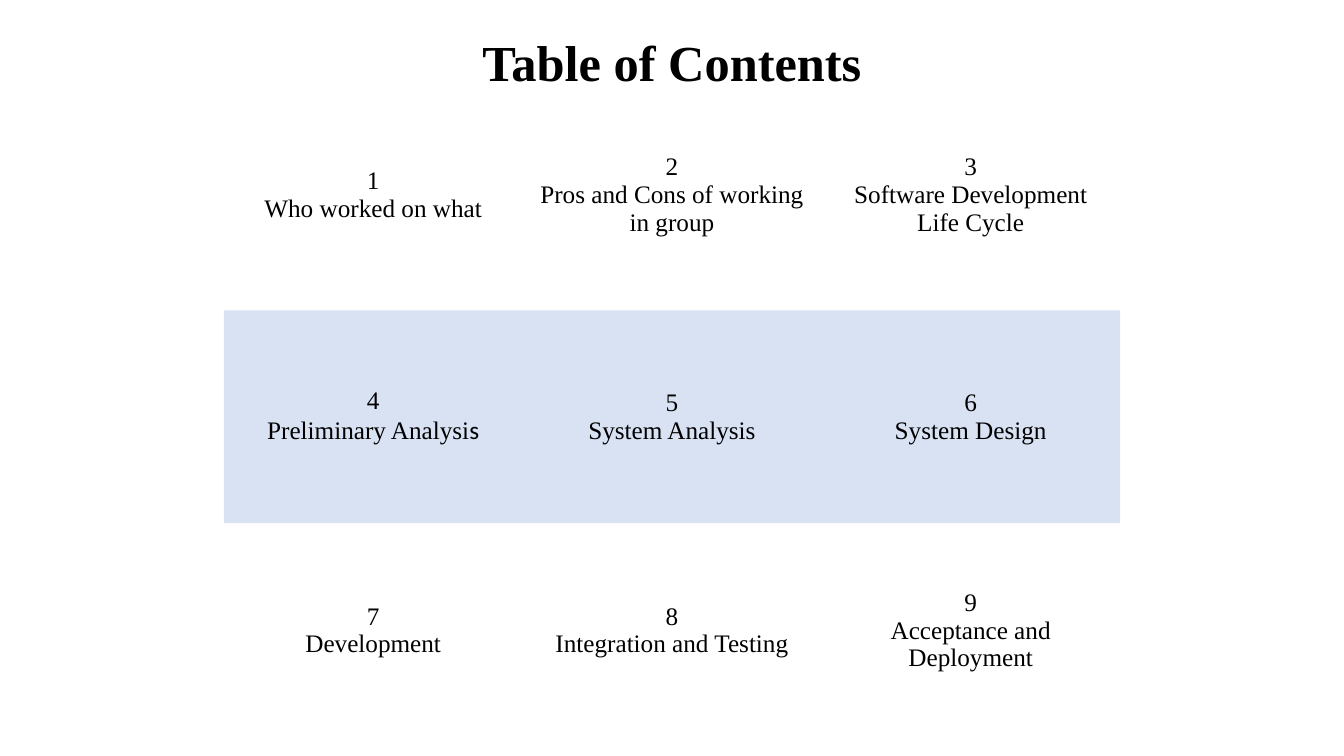
from lxml import etree
from pptx import Presentation
from pptx import util as u
from pptx.dml.color import RGBColor
from pptx.enum import text
from pptx.oxml.ns import qn

COLORS = {"ink": "000000", "band": "4472C4"}
SERIF = "Times New Roman"
SANS = "Calibri"
PLAIN_TABLE = "{2D5ABB26-0587-4C30-8999-92F81FD0307C}"
LEFT, WIDTH = 2.22, 8.89
ROW_HEIGHTS = [2.29, 2.11, 2.13]
BAND_ROW = 1
COLUMNS = 3
TOPICS = [
    [("Who worked on what", SERIF)],
    [("Pros and Cons of working in group", SERIF)],
    [("Software Development Life Cycle", SERIF)],
    [("Preliminary Analysi", SERIF), ("s", SANS)],
    [("System Analysis", SERIF)],
    [("System Design", SERIF)],
    [("Development", SERIF)],
    [("Integration and Testing", SERIF)],
    [("Acceptance and Deployment", SERIF)],
]


def apply_format(target, values):
    for key, value in values.items():
        setattr(target, key, value)


def write_line(paragraph, parts, size, bold=False):
    paragraph.alignment = text.PP_ALIGN.CENTER
    for words, face in parts:
        part = paragraph.add_run()
        part.text = words
        apply_format(part.font, {"name": face, "size": u.Pt(size), "bold": bold})
        part.font.color.rgb = RGBColor.from_string(COLORS["ink"])


def add_heading(slide, words):
    heading = slide.shapes.title
    apply_format(heading, {
        "left": u.Inches(LEFT), "top": u.Inches(0.25),
        "width": u.Inches(WIDTH), "height": u.Inches(0.71),
    })
    apply_format(heading.text_frame, {
        "word_wrap": True,
        "auto_size": text.MSO_AUTO_SIZE.NONE,
        "vertical_anchor": text.MSO_ANCHOR.MIDDLE,
    })
    line = heading.text_frame.paragraphs[0]
    line.line_spacing = 1.0
    write_line(line, [(words, SERIF)], 36, True)


def shade(cell):
    cell.fill.solid()
    cell.fill.fore_color.rgb = RGBColor.from_string(COLORS["band"])
    tint = cell._tc.tcPr.find(".//" + qn("a:srgbClr"))
    etree.SubElement(tint, qn("a:alpha"), val="20000")


def fill_topic(cell, number, topic):
    cell.vertical_anchor = text.MSO_ANCHOR.MIDDLE
    write_line(cell.text_frame.paragraphs[0], [(str(number), SERIF)], 18)
    write_line(cell.text_frame.add_paragraph(), topic, 18)


def add_contents(slide):
    contents = slide.shapes.add_table(
        len(ROW_HEIGHTS), COLUMNS, u.Inches(LEFT), u.Inches(0.79),
        u.Inches(WIDTH), u.Inches(sum(ROW_HEIGHTS))).table
    apply_format(contents, {"first_row": False, "horz_banding": False})
    contents._tbl.tblPr.find(qn("a:tableStyleId")).text = PLAIN_TABLE
    for row, height in zip(contents.rows, ROW_HEIGHTS):
        row.height = u.Inches(height)
    for index, topic in enumerate(TOPICS):
        row, column = divmod(index, COLUMNS)
        cell = contents.cell(row, column)
        fill_topic(cell, index + 1, topic)
        if row == BAND_ROW:
            shade(cell)
        else:
            cell.fill.background()


def main():
    deck = Presentation()
    apply_format(deck, {"slide_width": u.Inches(13.33), "slide_height": u.Inches(7.5)})
    slide = deck.slides.add_slide(deck.slide_layouts.get_by_name("Title Only"))
    add_heading(slide, "Table of Contents")
    add_contents(slide)
    deck.save("out.pptx")


main()
